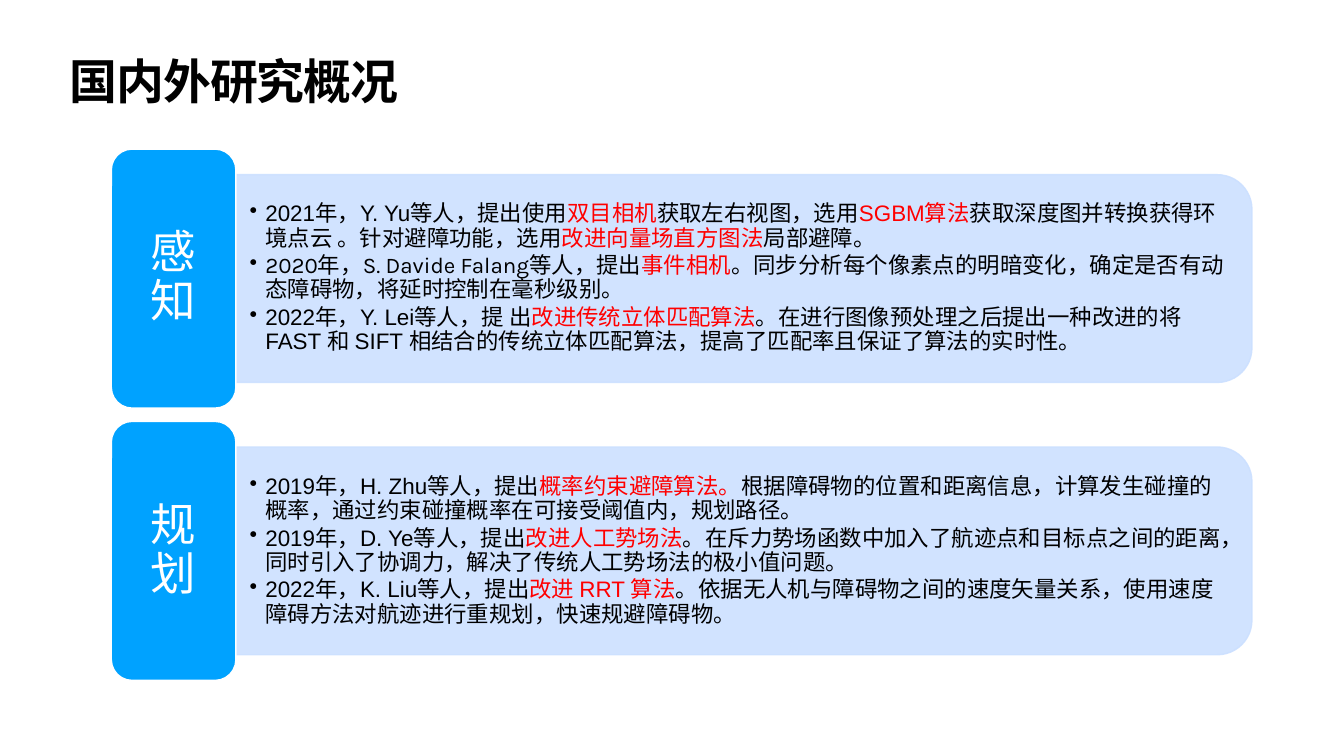
from lxml import etree
from pptx import Presentation
from pptx.dml.color import RGBColor
from pptx.enum import shapes, text
from pptx.oxml import ns
from pptx.util import Pt

COLORS = {"ink": "000000", "key": "FF0000", "label": "00A2FF", "panel": "CCE0FF", "white": "FFFFFF"}

# Each finding is a font and its runs; every second run is a highlighted term.
TOPICS = [
    ("感知", "Arial", [
        ("Arial", ["2021年，Y. Yu等人，提出使用", "双目相机", "获取左右视图，选用", "SGBM算法",
                   "获取深度图并转换获得环境点云 。针对避障功能，选用", "改进向量场直方图法", "局部避障。"]),
        ("Karla", ["2020年，S. Davide Falang等人，提出", "事件相机",
                   "。同步分析每个像素点的明暗变化，确定是否有动态障碍物，将延时控制在毫秒级别。"]),
        ("Arial", ["2022年，Y. Lei等人，提 出", "改进传统立体匹配算法",
                   "。在进行图像预处理之后提出一种改进的将 FAST 和 SIFT 相结合的传统立体匹配算法，"
                   "提高了匹配率且保证了算法的实时性。"]),
    ]),
    ("规划", "Karla", [
        ("Arial", ["2019年，H. Zhu等人，提出", "概率约束避障算法。",
                   "根据障碍物的位置和距离信息，计算发生碰撞的概率，通过约束碰撞概率在可接受阈值内，规划路径。"]),
        ("Arial", ["2019年，D. Ye等人，提出", "改进人工势场法",
                   "。在斥力势场函数中加入了航迹点和目标点之间的距离，同时引入了协调力，"
                   "解决了传统人工势场法的极小值问题。"]),
        ("Arial", ["2022年，K. Liu等人，提出", "改进 RRT 算法",
                   "。依据无人机与障碍物之间的速度矢量关系，使用速度障碍方法对航迹进行重规划，快速规避障碍物。"]),
    ]),
]


def apply(target, values):
    for name, value in values.items():
        setattr(target, name, value)


def rgb(color):
    return RGBColor.from_string(COLORS[color])


def add_run(paragraph, words, color, **font):
    run = paragraph.add_run()
    run.text = words
    apply(run.font, font)
    run.font.color.rgb = rgb(color)
    return run


def set_frame(frame, across, down, anchor):
    apply(frame, dict(word_wrap=True, vertical_anchor=anchor,
                      margin_left=Pt(across), margin_right=Pt(across),
                      margin_top=Pt(down), margin_bottom=Pt(down)))


def add_block(slide, preset, box, fill, line):
    block = slide.shapes.add_shape(preset, *map(Pt, box))
    block.shadow.inherit = False
    block.fill.solid()
    block.fill.fore_color.rgb = rgb(fill)
    block.line.color.rgb = rgb(line)
    block.line.width = Pt(2)
    return block


def add_title(slide, box):
    title = slide.shapes.add_textbox(*map(Pt, box)).text_frame
    set_frame(title, 4, 4, text.MSO_ANCHOR.TOP)
    heading = title.paragraphs[0]
    heading.line_spacing = 0.8
    run = add_run(heading, "国内外研究概况", "ink", size=Pt(68.4), name="Arial", bold=True)
    run.font._element.set("spc", "-140")


def add_panel(slide, left, top, width, height):
    """Panel rounded on its right side: a top-rounded shape turned by 90 degrees."""
    box = (left + (width - height) / 2, top + (height - width) / 2, height, width)
    panel = add_block(slide, shapes.MSO_SHAPE.ROUND_2_SAME_RECTANGLE, box, "panel", "panel")
    panel.rotation = 90
    for color in panel._element.spPr.iter(ns.qn("a:srgbClr")):
        etree.SubElement(color, ns.qn("a:alpha"), val="90000")


def add_bullet(paragraph, indent):
    props = paragraph._p.get_or_add_pPr()
    props.set("marL", str(Pt(indent)))
    props.set("indent", str(-Pt(indent)))
    etree.SubElement(props, ns.qn("a:buChar"), char="•")


def add_findings(slide, box, findings):
    frame = slide.shapes.add_textbox(*map(Pt, box)).text_frame
    set_frame(frame, 19.5, 10, text.MSO_ANCHOR.MIDDLE)
    for number, (font, pieces) in enumerate(findings):
        finding = frame.add_paragraph() if number else frame.paragraphs[0]
        apply(finding, dict(line_spacing=0.9, space_after=Pt(4.8)))
        add_bullet(finding, 22.5)
        for index, words in enumerate(pieces):
            add_run(finding, words, "key" if index % 2 else "ink", size=Pt(32), name=font)


def add_topic(slide, left, top, width, height, topic):
    name, font, findings = topic
    label_width, panel_height, text_height = 178, 296.8, 267
    panel_left, panel_width = left + label_width, width - label_width
    add_panel(slide, panel_left, top + (height - panel_height) / 2, panel_width, panel_height)
    add_findings(slide, (panel_left, top + (height - text_height) / 2, panel_width - 14.5, text_height),
                 findings)
    label = add_block(slide, shapes.MSO_SHAPE.ROUNDED_RECTANGLE, (left, top, label_width, height),
                      "label", "white")
    set_frame(label.text_frame, 19.5, 10, text.MSO_ANCHOR.MIDDLE)
    caption = label.text_frame.paragraphs[0]
    apply(caption, dict(alignment=text.PP_ALIGN.CENTER, line_spacing=0.9))
    add_run(caption, name, "white", size=Pt(65), name=font)


def main():
    deck = Presentation()
    apply(deck, dict(slide_width=Pt(1920), slide_height=Pt(1080)))
    slide = deck.slides.add_slide(deck.slide_layouts[6])
    add_title(slide, (95, 85, 1730, 113))
    height, gap = 370, 19
    for row, topic in enumerate(TOPICS):
        add_topic(slide, 159, 213 + row * (height + gap), 1629.5, height, topic)
    deck.save("out.pptx")


if __name__ == "__main__":
    main()
